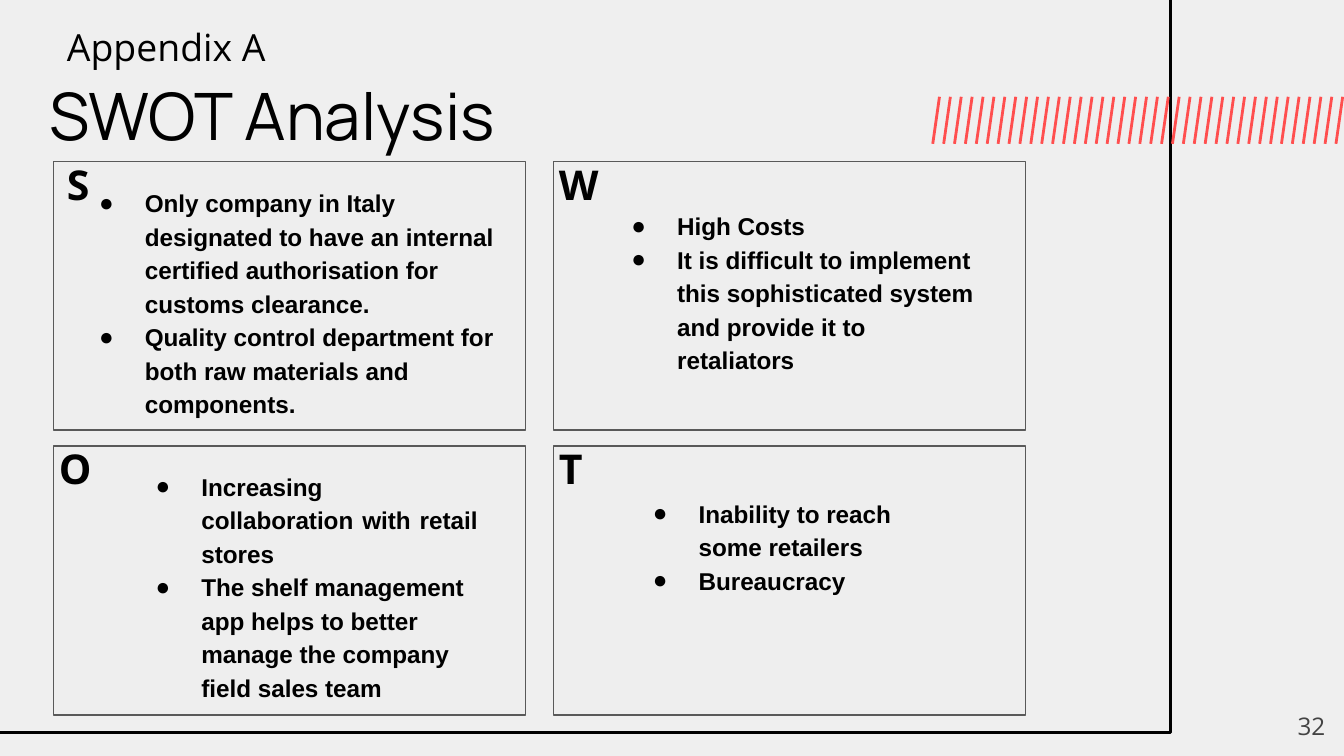
from lxml import etree
from pptx import Presentation
from pptx.dml.color import RGBColor
from pptx.enum import shapes, text
from pptx.oxml import ns
from pptx.util import Inches, Pt

HUES = {"back": "EFEFEF", "box": "EEEEEE", "edge": "595959",
        "ink": "000000", "slash": "FF4F4F", "page": "434343"}


def color(name):
    return RGBColor.from_string(HUES[name])


def write(box, lines, font, size, hue="ink", bold=False, bullet=False,
          align=text.PP_ALIGN.LEFT, first=None, fit=text.MSO_AUTO_SIZE.NONE):
    """Fill a text frame, one paragraph per line; first overrides the first alignment."""
    frame = box.text_frame
    frame.word_wrap = True
    frame.auto_size = fit
    frame.vertical_anchor = text.MSO_ANCHOR.TOP
    frame.margin_left = frame.margin_right = Inches(0.1)
    frame.margin_top = frame.margin_bottom = Inches(0.1)
    for i, line in enumerate(lines):
        para = frame.add_paragraph() if i else frame.paragraphs[0]
        para.alignment = first if first and i == 0 else align
        if bullet:
            props = para._p.get_or_add_pPr()
            props.set("marL", str(Inches(0.5)))
            props.set("indent", str(-Inches(0.34)))
            tint = etree.SubElement(props, ns.qn("a:buClr"))
            etree.SubElement(tint, ns.qn("a:srgbClr")).set("val", HUES[hue])
            etree.SubElement(props, ns.qn("a:buSzPts")).set("val", str(size * 100))
            etree.SubElement(props, ns.qn("a:buFont")).set("typeface", font)
            etree.SubElement(props, ns.qn("a:buChar")).set("char", "●")
            para.line_spacing = 1.15
        run = para.add_run()
        run.text = line
        run.font.name = font
        run.font.size = Pt(size)
        run.font.bold = bold
        run.font.color.rgb = color(hue)


# Slide in 16:9
deck = Presentation()
deck.slide_width = Inches(10)
deck.slide_height = Inches(10) * 9 // 16
slide = deck.slides.add_slide(deck.slide_layouts[5])
slide.background.fill.solid()
slide.background.fill.fore_color.rgb = color("back")
parts = slide.shapes

# Frame running off the top left corner
frame = parts.add_shape(shapes.MSO_SHAPE.RECTANGLE, Inches(-0.11), Inches(-0.12),
                        Inches(8.82), Inches(5.57))
frame.shadow.inherit = False
frame.fill.background()
frame.line.color.rgb = color("ink")
frame.line.width = Pt(1.5)

# Row of slashes
COUNT, START, END = 38, 6.99, 9.99
for i in range(COUNT):
    x = START + i * (END - START) / (COUNT - 1)
    pen = parts.build_freeform(Inches(x), Inches(0.72))
    pen.add_line_segments([(Inches(x - 0.05), Inches(1.07))], close=False)
    slash = pen.convert_to_shape()
    slash.shadow.inherit = False
    slash.fill.background()
    slash.line.color.rgb = color("slash")
    slash.line.width = Pt(1.5)

# Title
title = parts.title
title.left, title.top = Inches(0.27), Inches(0.46)
title.width, title.height = Inches(8.43), Inches(0.63)
write(title, ["SWOT Analysis"], "Manrope", 35)

# Quadrant boxes
for y in (1.2, 3.32):
    for x in (0.4, 4.12):
        box = parts.add_shape(shapes.MSO_SHAPE.RECTANGLE, Inches(x), Inches(y),
                              Inches(3.51), Inches(2))
        box.shadow.inherit = False
        box.fill.solid()
        box.fill.fore_color.rgb = color("box")
        box.line.color.rgb = color("edge")
        box.line.width = Pt(0.75)

# Letters and bullet lists: letter, its place, list place, first alignment, items
JUST = text.PP_ALIGN.JUSTIFY
GROW = text.MSO_AUTO_SIZE.SHAPE_TO_FIT_TEXT
QUADS = [
    ("S", (0.4, 1.09, 0.34, 0.57), (0.48, 1.27, 3.35, 1.93), None,
     ["Only company in Italy designated to have an internal certified "
      "authorisation for customs clearance.",
      "Quality control department for both raw materials and components."]),
    ("W", (4.06, 1.09, 0.55, 0.57), (4.44, 1.44, 3.01, 1.43), JUST,
     ["High Costs",
      "It is difficult to implement this sophisticated system and provide "
      "it to retaliators"]),
    ("O", (0.34, 3.2, 0.34, 0.57), (0.9, 3.38, 2.75, 1.93), JUST,
     ["Increasing collaboration with retail stores",
      "The shelf management app helps to better manage the company field "
      "sales team"]),
    ("T", (4.06, 3.2, 0.23, 0.57), (4.6, 3.58, 2.54, 0.92), None,
     ["Inability to reach some retailers", "Bureaucracy"]),
]
for letter, spot, area, first, items in QUADS:
    mark = parts.add_textbox(*map(Inches, spot))
    write(mark, [letter], "Open Sans", 22, bold=True, fit=GROW)
    points = parts.add_textbox(*map(Inches, area))
    write(points, items, "Arial", 13, bold=True, bullet=True, first=first, fit=GROW)

# Appendix label and page number
label = parts.add_textbox(Inches(0.4), Inches(0.08), Inches(1.77), Inches(0.54))
write(label, ["Appendix A"], "Open Sans", 20, fit=GROW)
page = parts.add_textbox(Inches(9.36), Inches(5.19), Inches(0.6), Inches(0.43))
write(page, ["32"], "Open Sans", 13, hue="page", align=text.PP_ALIGN.RIGHT)

deck.save("out.pptx")
